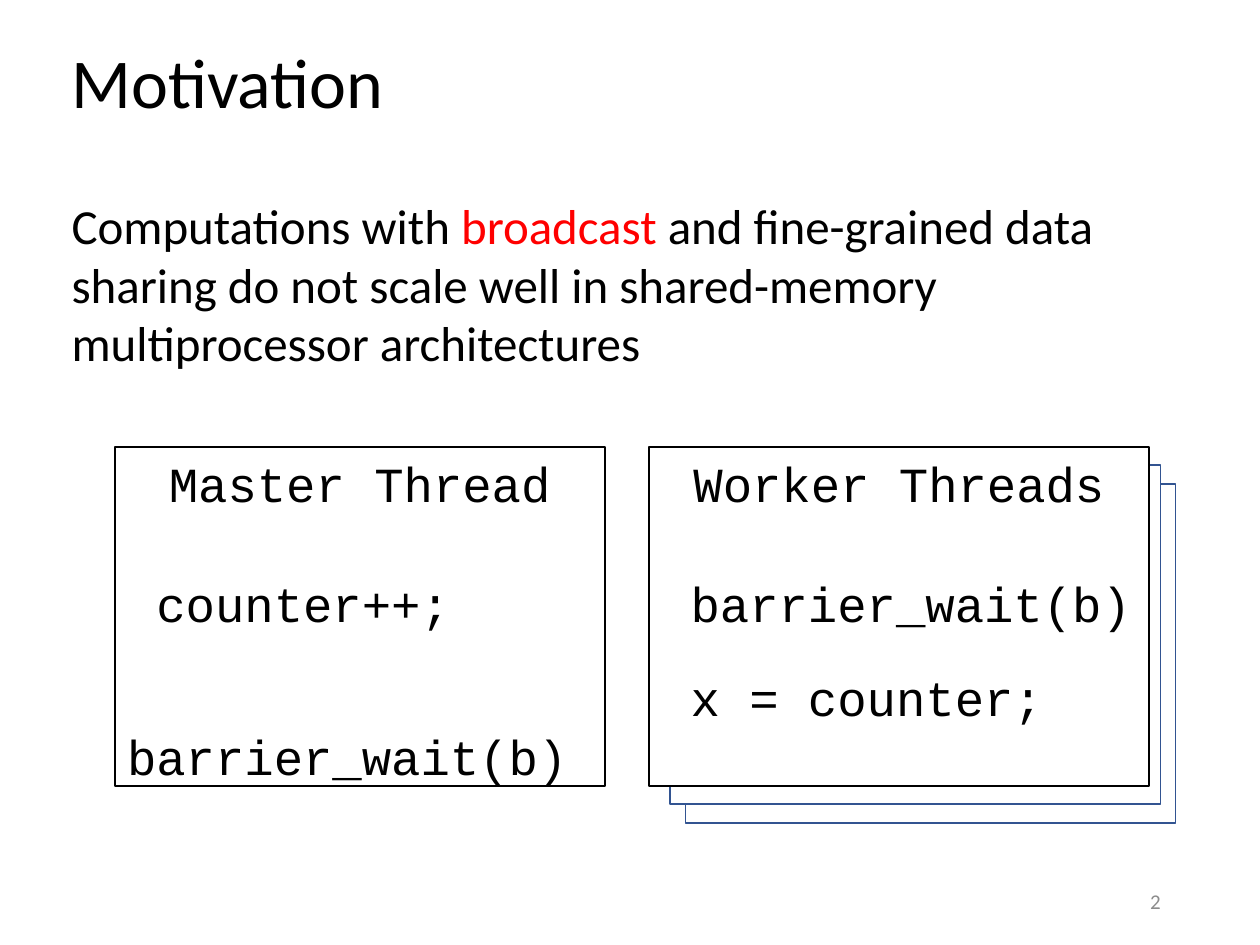
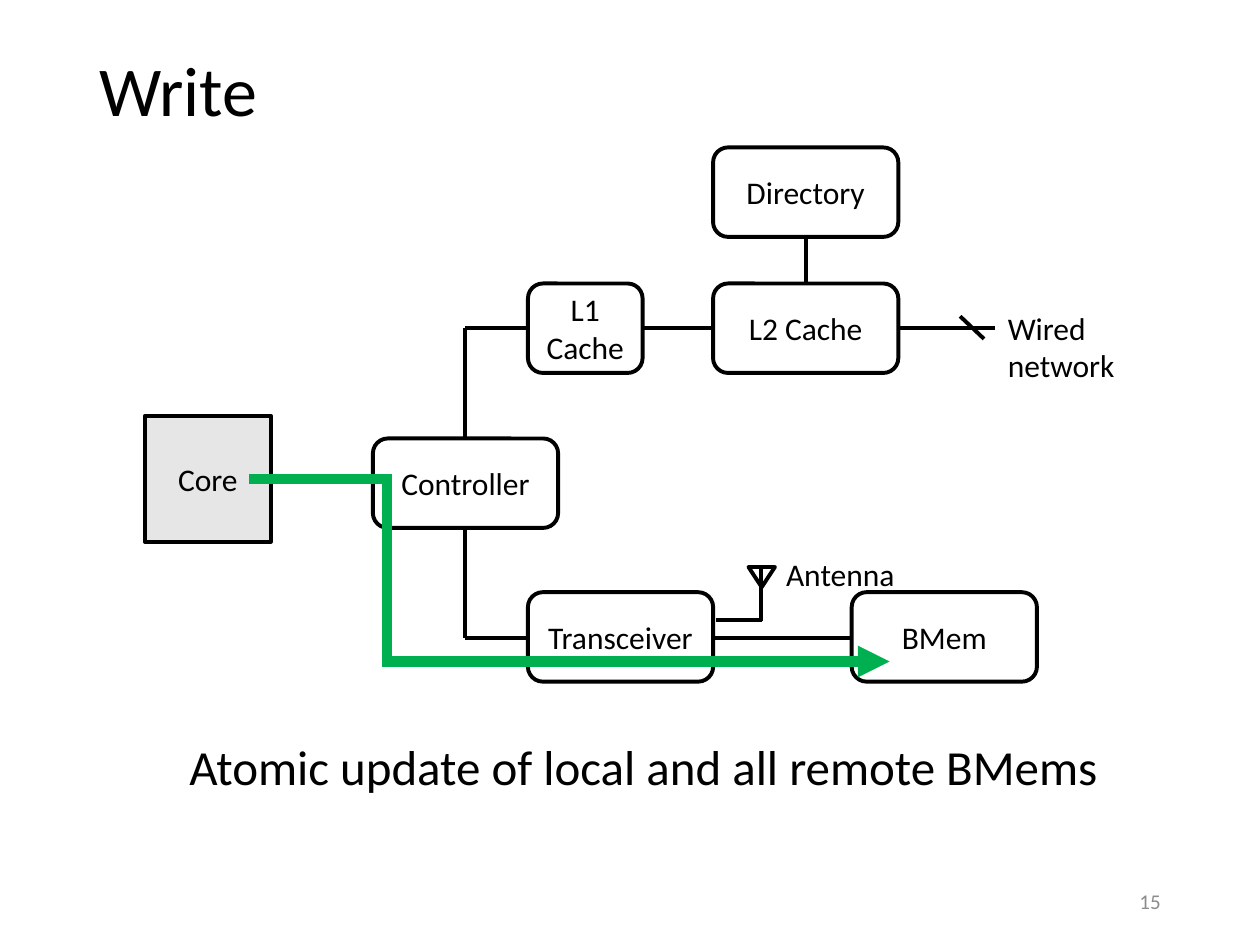
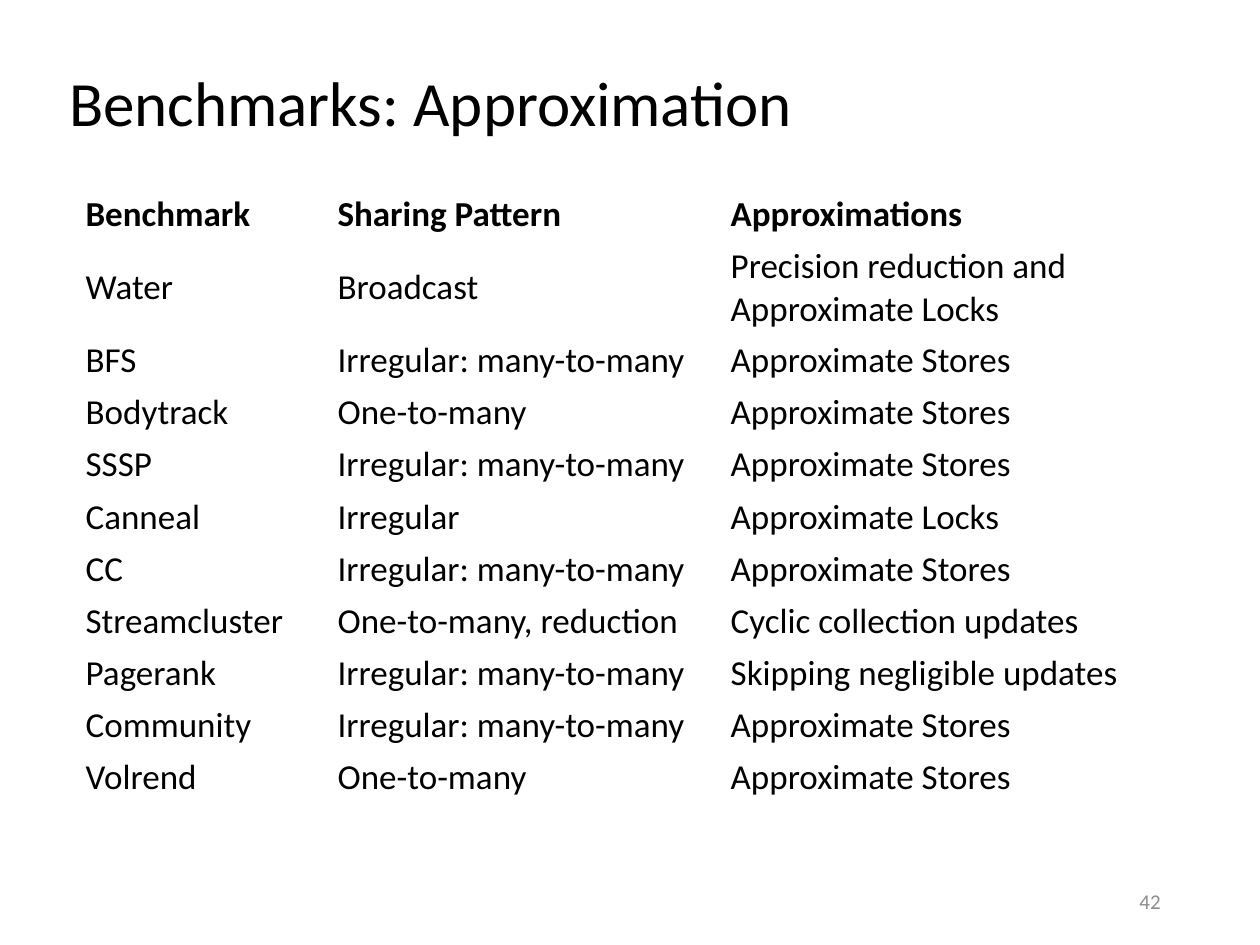
"""Build three slides on broadcast sharing: motivation, write path, benchmarks."""
import dataclasses

import lxml.etree
import pptx
import pptx.dml.color
import pptx.enum.shapes
import pptx.enum.text
import pptx.oxml.ns
import pptx.util

Inches, Pt = pptx.util.Inches, pptx.util.Pt
RGB = pptx.dml.color.RGBColor.from_string
Shape = pptx.enum.shapes.MSO_SHAPE
Connector = pptx.enum.shapes.MSO_CONNECTOR
Align, Anchor = pptx.enum.text.PP_ALIGN, pptx.enum.text.MSO_ANCHOR
qn = pptx.oxml.ns.qn


@dataclasses.dataclass(frozen=True)
class Theme:
    black: str = "000000"
    white: str = "FFFFFF"
    grey: str = "E7E6E6"
    number: str = "8C8C8C"
    red: str = "FF0000"
    blue: str = "325491"
    green: str = "00B050"
    font: str = "Calibri"
    code: str = "Courier New"
    title_size: int = 40
    long_title_size: int = 36
    body_size: int = 28
    table_size: int = 20
    label_size: int = 18
    number_size: int = 12
    thin: float = 1
    medium: float = 2.25
    thick: float = 6


theme = Theme()


def add_box(slide, box, paragraphs=(), size=theme.label_size, color=theme.black,
            font=theme.font, align=Align.LEFT, anchor=Anchor.TOP, wrap=True,
            preset=None, fill=None, line=theme.black, weight=theme.medium):
    box = [Inches(length) for length in box]
    if preset is None:
        part = slide.shapes.add_textbox(*box)
    else:
        part = slide.shapes.add_shape(preset, *box)
        part.shadow.inherit = False
        if fill:
            part.fill.solid()
            part.fill.fore_color.rgb = RGB(fill)
        else:
            part.fill.background()
        part.line.color.rgb = RGB(line)
        part.line.width = Pt(weight)
    frame = part.text_frame
    frame.word_wrap = wrap
    frame.vertical_anchor = anchor
    for index, words in enumerate(paragraphs):
        paragraph = frame.add_paragraph() if index else frame.paragraphs[0]
        paragraph.text = words
        paragraph.alignment = align
        paragraph.font.name = font
        paragraph.font.size = Pt(size)
        paragraph.font.color.rgb = RGB(color)
    return part


def add_wire(slide, start, end, color=theme.black, weight=theme.medium, kind=Connector.STRAIGHT):
    wire = slide.shapes.add_connector(kind, *[Inches(length) for length in (*start, *end)])
    wire.line.color.rgb = RGB(color)
    wire.line.width = Pt(weight)
    lxml.etree.SubElement(wire._element.spPr, qn("a:effectLst"))
    return wire


deck = pptx.Presentation()
deck.slide_width, deck.slide_height = Inches(10), Inches(7.5)

headings = [
    ("Motivation", "2", (0.47, 0.26, 9.06, 0.77), theme.title_size, Anchor.TOP, 1.0),
    ("Write", "15", (0.69, 0.02, 8.62, 1.45), theme.title_size, Anchor.MIDDLE, 0.9),
    ("Benchmarks: Approximation", "42", (0.45, 0.19, 9.55, 1.3),
     theme.long_title_size, Anchor.MIDDLE, 0.9),
]
for heading, number, place, size, anchor, spacing in headings:
    slide = deck.slides.add_slide(deck.slide_layouts[6])
    title = add_box(slide, place, [heading], size, anchor=anchor)
    title.text_frame.paragraphs[0].line_spacing = spacing
    add_box(slide, (7.06, 6.95, 2.25, 0.4), [number], theme.number_size, theme.number,
            align=Align.RIGHT, anchor=Anchor.MIDDLE)
motivation, write, benchmarks = deck.slides

claim = add_box(motivation, (0.47, 1.5, 9.06, 1.51), [""], theme.body_size)
claim_line = claim.text_frame.paragraphs[0]
for words, color in [
    ("Computations with ", theme.black),
    ("broadcast", theme.red),
    (" and fine-grained data sharing do not scale well in shared-memory "
     "multiprocessor architectures", theme.black),
]:
    run = claim_line.add_run()
    run.text = words
    run.font.color.rgb = RGB(color)

for left, top in [(5.44, 3.84), (5.32, 3.69)]:
    add_box(motivation, (left, top, 3.89, 2.69), preset=Shape.RECTANGLE,
            fill=theme.white, line=theme.blue, weight=theme.thin)
threads = [
    (0.91, 3.89, ["Master Thread", " counter++;", " barrier_wait(b)"]),
    (5.15, 3.97, ["Worker Threads", " barrier_wait(b)", " x = counter;"]),
]
for left, width, code in threads:
    thread = add_box(motivation, (left, 3.55, width, 2.69), code, theme.body_size,
                     font=theme.code, preset=Shape.RECTANGLE, fill=theme.white,
                     weight=theme.thin)
    name, first_step, second_step = thread.text_frame.paragraphs
    name.alignment = Align.CENTER
    first_step.space_before = Pt(35)
    second_step.space_before = Pt(20)

add_box(write, (1.15, 3.3, 1, 1), ["Core"], align=Align.CENTER, anchor=Anchor.MIDDLE,
        preset=Shape.RECTANGLE, fill=theme.grey)
units = [
    ("Controller", 2.96, 3.48, 1.47),
    ("L1 Cache", 4.19, 2.25, 0.91),
    ("Transceiver", 4.19, 4.7, 1.47),
    ("L2 Cache", 5.66, 2.25, 1.47),
    ("BMem", 6.76, 4.7, 1.47),
    ("Directory", 5.66, 1.17, 1.47),
]
for unit, left, top, width in units:
    add_box(write, (left, top, width, 0.71), [unit], align=Align.CENTER,
            anchor=Anchor.MIDDLE, preset=Shape.ROUNDED_RECTANGLE, fill=theme.white)

wires = [
    ((2.15, 3.82), (2.95, 3.81)),
    ((3.69, 5.06), (3.69, 4.19)),
    ((3.69, 3.48), (3.69, 2.6)),
    ((4.19, 2.6), (3.69, 2.6)),
    ((4.19, 5.06), (3.69, 5.06)),
    ((6.76, 5.06), (5.66, 5.06)),
    ((5.66, 2.6), (5.11, 2.6)),
    ((6.05, 4.92), (5.68, 4.92)),
    ((6.04, 4.93), (6.04, 4.5)),
    ((7.9, 2.6), (7.14, 2.6)),
    ((7.62, 2.51), (7.81, 2.69)),
    ((6.4, 2.25), (6.4, 1.89)),
]
for start, end in wires:
    add_wire(write, start, end)

antenna = add_box(write, (5.94, 4.5, 0.21, 0.16), preset=Shape.ISOSCELES_TRIANGLE)
antenna.rotation = 180
add_box(write, (6.14, 4.36, 1.07, 0.4), ["Antenna"], wrap=False)
add_box(write, (7.9, 2.4, 1.06, 0.71), ["Wired", "network"], wrap=False)

write_path = add_wire(write, (1.98, 3.8), (7.06, 5.25), theme.green, theme.thick,
                      Connector.ELBOW)
bend = write_path._element.spPr.find(qn("a:prstGeom")).find(qn("a:avLst"))
lxml.etree.SubElement(bend, qn("a:gd"), name="adj1", fmla="val 21500")
stroke = write_path.line._get_or_add_ln()
lxml.etree.SubElement(stroke, qn("a:miter"), lim="800000")
lxml.etree.SubElement(stroke, qn("a:tailEnd"), type="triangle")

add_box(write, (1.36, 5.8, 7.49, 0.57), ["Atomic update of local and all remote BMems"],
        theme.body_size, align=Align.CENTER, wrap=False)

rows = [
    ("Benchmark", "Sharing Pattern", "Approximations"),
    ("Water", "Broadcast", "Precision reduction and Approximate Locks"),
    ("BFS", "Irregular: many-to-many", "Approximate Stores"),
    ("Bodytrack", "One-to-many", "Approximate Stores"),
    ("SSSP", "Irregular: many-to-many", "Approximate Stores"),
    ("Canneal", "Irregular", "Approximate Locks"),
    ("CC", "Irregular: many-to-many", "Approximate Stores"),
    ("Streamcluster", "One-to-many, reduction", "Cyclic collection updates"),
    ("Pagerank", "Irregular: many-to-many", "Skipping negligible updates"),
    ("Community", "Irregular: many-to-many", "Approximate Stores"),
    ("Volrend", "One-to-many", "Approximate Stores"),
]
patterns = benchmarks.shapes.add_table(len(rows), 3, Inches(0.61), Inches(1.49),
                                       Inches(8.79), Inches(4.83)).table
patterns.first_row = patterns.horz_banding = False
for column, width in zip(patterns.columns, (2, 3.12, 3.67)):
    column.width = Inches(width)
for row_index, row in enumerate(rows):
    patterns.rows[row_index].height = Inches(0.75 if row[0] == "Water" else 0.41)
    for column_index, words in enumerate(row):
        cell = patterns.cell(row_index, column_index)
        cell.fill.background()
        cell.margin_left = cell.margin_right = Inches(0.07)
        cell.margin_top = cell.margin_bottom = Inches(0.04)
        cell.vertical_anchor = Anchor.MIDDLE if row[0] == "Water" else Anchor.TOP
        cell.text = words
        font = cell.text_frame.paragraphs[0].font
        font.name = theme.font
        font.size = Pt(theme.table_size)
        font.bold = row_index == 0
        font.color.rgb = RGB(theme.black)

deck.save("out.pptx")
